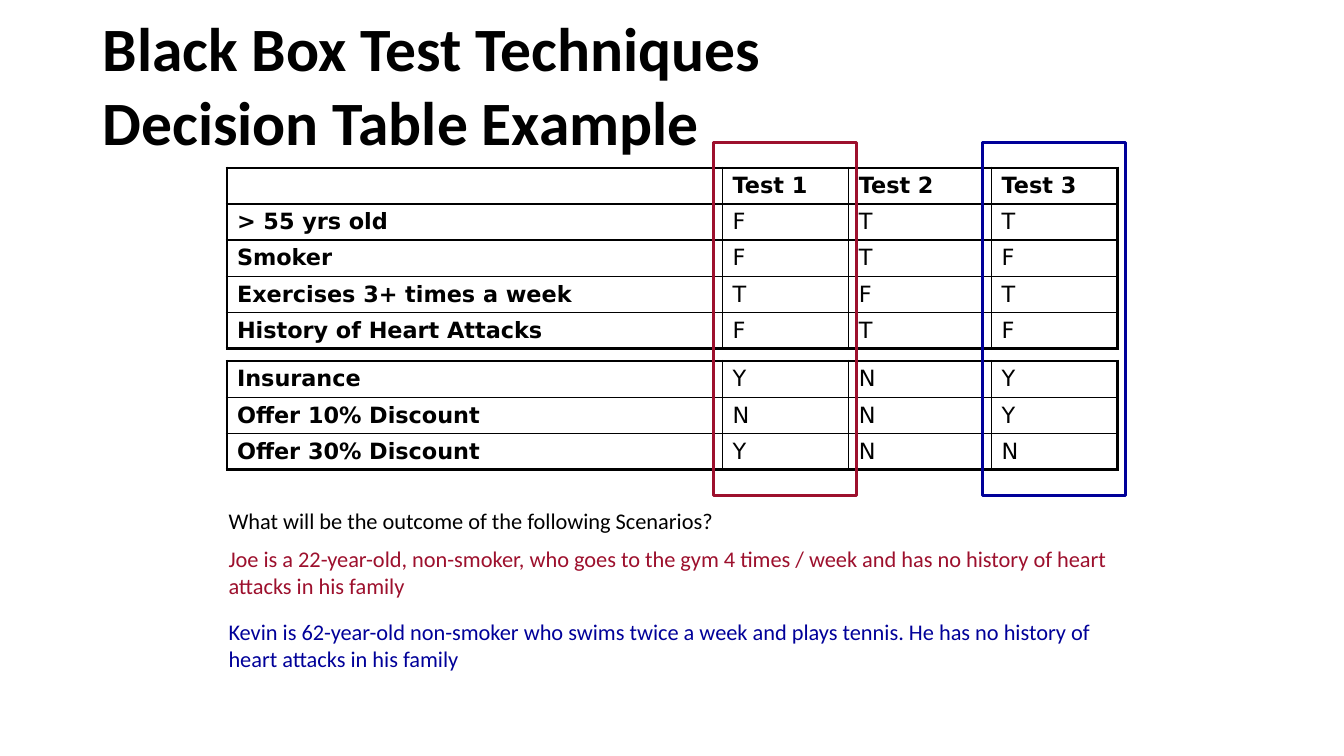
"""Build the decision table example slide."""
from lxml import etree
from pptx import Presentation
from pptx.dml.color import RGBColor
from pptx.enum import shapes, text
from pptx.oxml import ns
from pptx.util import Cm, Pt

TITLE = ["Black Box Test Techniques", "Decision Table Example"]
CONDITIONS = [
    ("", "Test 1", "Test 2", "Test 3"),
    ("> 55 yrs old", "F", "T", "T"),
    ("Smoker", "F", "T", "F"),
    ("Exercises 3+ times a week", "T", "F", "T"),
    ("History of Heart Attacks", "F", "T", "F"),
]
ACTIONS = [
    ("Insurance", "Y", "N", "Y"),
    ("Offer 10% Discount", "N", "N", "Y"),
    ("Offer 30% Discount", "Y", "N", "N"),
]
BLACK, RED, BLUE = "000000", "9D102D", "000099"
SCENARIOS = [
    (12.65, 2.64, [
        ("What will be the outcome of the following Scenarios?", BLACK),
        ("Joe is a 22-year-old, non-smoker, who goes to the gym 4 times / week "
         "and has no history of heart attacks in his family", RED),
    ]),
    (15.45, 1.63, [
        ("Kevin is 62-year-old non-smoker who swims twice a week and plays "
         "tennis. He has no history of heart attacks in his family", BLUE),
    ]),
]
TABLES = [(4.23, CONDITIONS), (9.1, ACTIONS)]
HIGHLIGHTS = [(17.99, RED), (24.77, BLUE)]
COLUMNS = [12.49, 3.18, 3.6, 3.17]
TABLE_LEFT, ROW_HEIGHT = 5.72, 0.91
THICK, THIN = 2.25, 1


def color(value):
    return RGBColor.from_string(value)


def style(p, size, name, value, bold=False):
    for r in p.runs:
        r.font.size, r.font.bold = Pt(size), bold
        r.font.color.rgb = color(value)
        r.font.name = name


def add_border(cell, side, width):
    tag = ns.qn("a:ln" + side)
    ln = etree.SubElement(cell._tc.get_or_add_tcPr(), tag, w=str(Pt(width)))
    fill = etree.SubElement(ln, ns.qn("a:solidFill"))
    etree.SubElement(fill, ns.qn("a:srgbClr"), val=BLACK)


def add_decision_table(s, top, rows):
    last_row, last_col = len(rows) - 1, len(COLUMNS) - 1
    table = s.shapes.add_table(
        len(rows), len(COLUMNS), Cm(TABLE_LEFT), Cm(top),
        Cm(sum(COLUMNS)), Cm(ROW_HEIGHT * len(rows))).table
    table.first_row = table.horz_banding = False
    for column, width in zip(table.columns, COLUMNS):
        column.width = Cm(width)
    for i, row in enumerate(rows):
        for j, value in enumerate(row):
            cell = table.cell(i, j)
            cell.text = value
            cell.margin_top = cell.margin_bottom = 0
            cell.vertical_anchor = text.MSO_ANCHOR.MIDDLE
            bold = j == 0 or value.startswith("Test")
            style(cell.text_frame.paragraphs[0], 16, "DejaVu Sans", BLACK, bold)
            outer = {"L": j == 0, "R": j == last_col,
                     "T": i == 0, "B": i == last_row}
            for side, is_outer in outer.items():
                add_border(cell, side, THICK if is_outer else THIN)
            cell.fill.background()


def add_scenario(s, top, height, lines):
    sp = s.shapes.add_textbox(Cm(5.51), Cm(top), Cm(22.86), Cm(height))
    tf = sp.text_frame
    tf.word_wrap = True
    tf.text = "\n".join(line for line, _ in lines)
    for i, (p, (_, value)) in enumerate(zip(tf.paragraphs, lines)):
        p.space_before = Pt(8 if i else 0)
        style(p, 16, "Calibri", value)


def add_highlight(s, left, value):
    sp = s.shapes.add_shape(shapes.MSO_SHAPE.RECTANGLE,
                            Cm(left), Cm(3.6), Cm(3.6), Cm(8.89))
    sp.shadow.inherit = False
    sp.fill.background()
    sp.line.color.rgb = color(value)
    sp.line.width = Pt(2)


def set_title(s):
    sp = s.shapes.title
    sp.left, sp.top, sp.width, sp.height = Cm(2.33), Cm(1.32), Cm(23.65), Cm(1.57)
    tf = sp.text_frame
    tf.text = "\n".join(TITLE)
    tf.auto_size = text.MSO_AUTO_SIZE.NONE
    tf.vertical_anchor = text.MSO_ANCHOR.MIDDLE
    for p in tf.paragraphs:
        p.alignment = text.PP_ALIGN.LEFT
        style(p, 44, "Calibri", BLACK, True)


def main():
    prs = Presentation()
    prs.slide_width, prs.slide_height = Cm(33.87), Cm(19.05)
    s = prs.slides.add_slide(prs.slide_layouts[5])
    for top, rows in TABLES:
        add_decision_table(s, top, rows)
    for top, height, lines in SCENARIOS:
        add_scenario(s, top, height, lines)
    for left, value in HIGHLIGHTS:
        add_highlight(s, left, value)
    set_title(s)
    prs.save("out.pptx")


if __name__ == "__main__":
    main()
